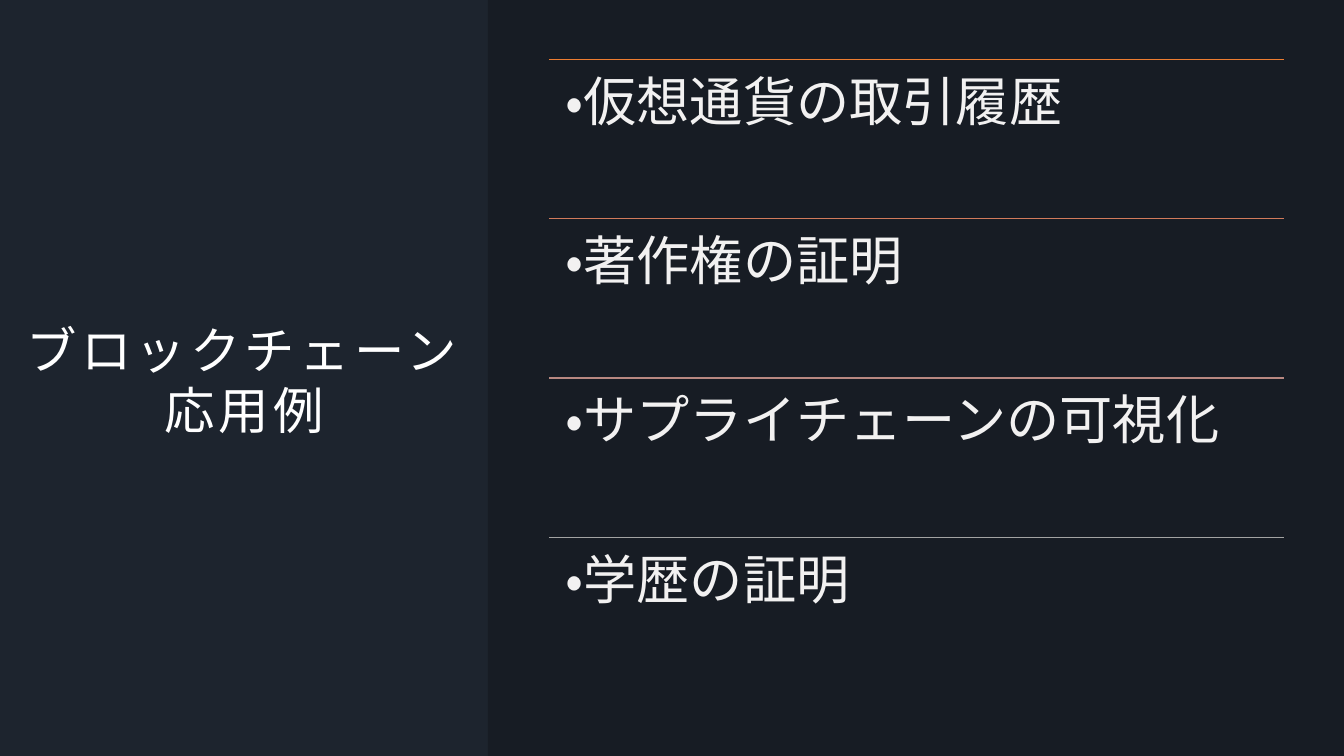
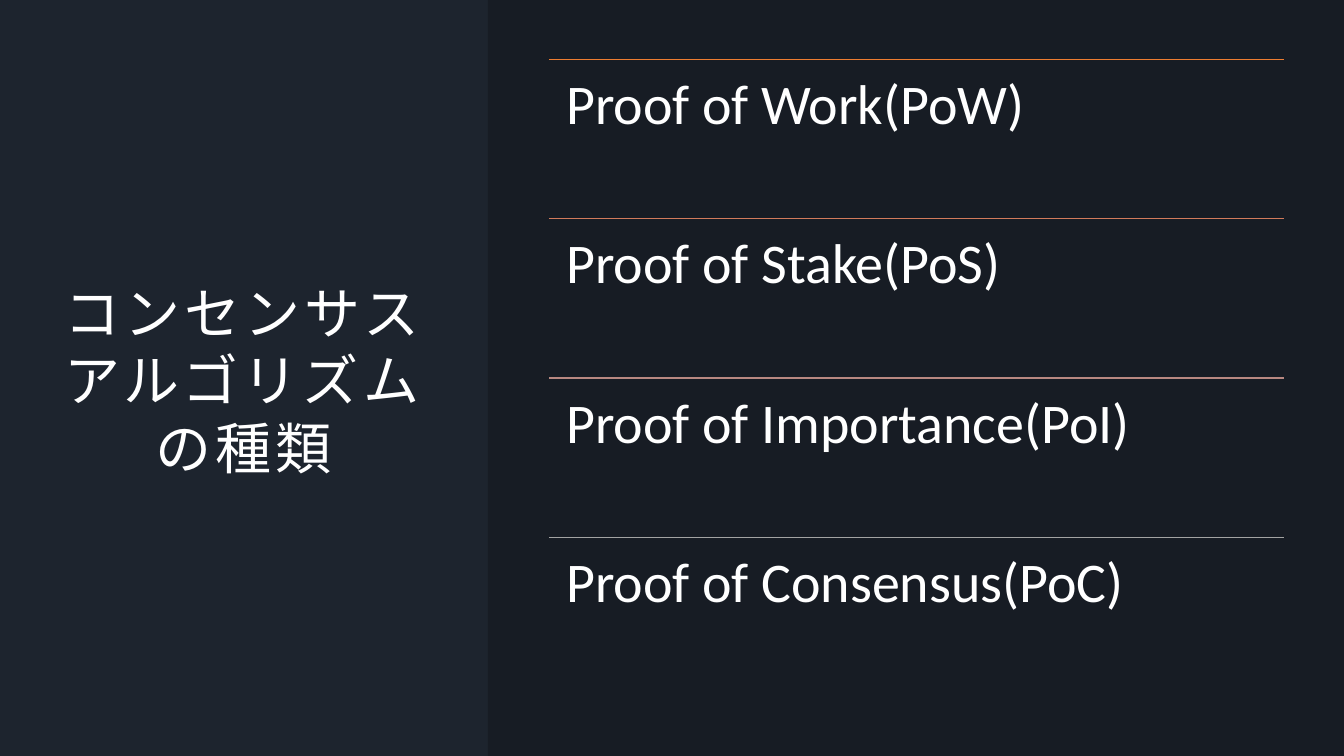
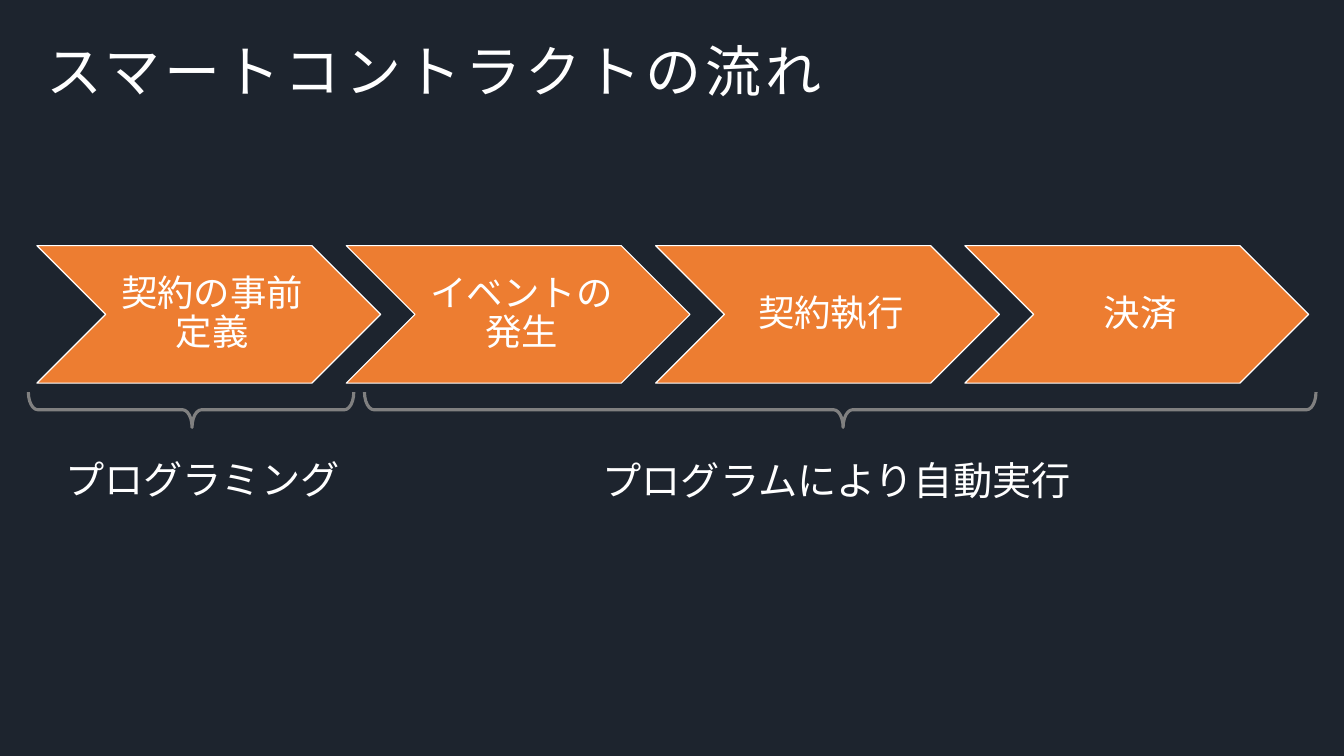
from lxml import etree
from pptx import Presentation
from pptx.dml.color import RGBColor
from pptx.enum.lang import MSO_LANGUAGE_ID
from pptx.enum.shapes import MSO_CONNECTOR, MSO_SHAPE
from pptx.enum.text import MSO_ANCHOR, MSO_AUTO_SIZE, PP_ALIGN
from pptx.oxml.ns import qn
from pptx.util import Pt

CENTER, LEFT = PP_ALIGN.CENTER, PP_ALIGN.LEFT
TOP, MIDDLE = MSO_ANCHOR.TOP, MSO_ANCHOR.MIDDLE
GROW = MSO_AUTO_SIZE.SHAPE_TO_FIT_TEXT
STRAIGHT = MSO_CONNECTOR.STRAIGHT
RECTANGLE, CHEVRON, BRACE = MSO_SHAPE.RECTANGLE, MSO_SHAPE.CHEVRON, MSO_SHAPE.RIGHT_BRACE
JAPANESE = MSO_LANGUAGE_ID.JAPANESE

COLORS = {
    "background": "1D242E", "panel": "000000", "white": "FFFFFF", "soft": "F2F1F1",
    "orange": "ED7D31", "copper": "D17A5B", "rose": "B88881", "silver": "A3A3A3",
    "brace": "808080",
}
FONT = "Calibri"
SLIDE_WIDTH, SLIDE_HEIGHT = 960, 540
PANEL_LEFT, PANEL_ALPHA = 348.5, 20

LIST_SLIDES = [
    {
        "title": "ブロックチェーン応用例",
        "title_box": (7.9, 85.7, 332.7, 369.4), "title_size": 36,
        "items": ["・仮想通貨の取引履歴", "・著作権の証明", "・サプライチェーンの可視化", "・学歴の証明"],
        "size": 38, "color": "soft", "inset": 11.4,
    },
    {
        "title": "コンセンサスアルゴリズムの種類",
        "title_box": (35.2, 85.7, 278, 369.4), "title_size": 40,
        "items": ["Proof of Work(PoW)", "Proof of Stake(PoS)", "Proof of Importance(PoI)",
                  "Proof of Consensus(PoC)"],
        "size": 40, "color": "white", "inset": 12,
    },
]
RULE_COLORS = ["orange", "copper", "rose", "silver"]
ROW_LEFT, ROW_TOP, ROW_WIDTH, ROW_HEIGHT = 392.4, 42.5, 524.9, 113.75

FLOW_TITLE = "スマートコントラクトの流れ"
FLOW_TITLE_BOX = (24.5, 17.3, 909.4, 51.8)
STEPS = ["契約の事前定義", "イベントの発生", "契約執行", "決済"]
STEP_LEFT, STEP_TOP, STEP_WIDTH, STEP_HEIGHT = 26.4, 175.5, 245.5, 98.2
STEP_PITCH = STEP_WIDTH * 0.9
PHASES = [
    {"text": "プログラミング", "span": (20.2, 252.7), "label": (39.6, 322, 212.4, 41)},
    {"text": "プログラムにより自動実行", "span": (260.3, 940), "label": (423.4, 322.5, 353.5, 41)},
]
BRACE_MIDDLE, BRACE_DEPTH = 292.7, 25.2
BRACE_CURVE = (0.268, 0.497)

TITLE_FORMAT = {"insets": (8.6, 8.6, 8.6, 7.2), "spacing": 3}


def rgb(name):
    return RGBColor.from_string(COLORS[name])


def points(values):
    return [Pt(value) for value in values]


def set_text(shape, text, size, color="white", align=LEFT, anchor=TOP,
             insets=(7.2, 3.6, 7.2, 3.6), line_spacing=1.0, spacing=0, wrap=True):
    frame = shape.text_frame
    frame.word_wrap = wrap
    frame.vertical_anchor = anchor
    for side, inset in zip(("left", "top", "right", "bottom"), insets):
        setattr(frame, f"margin_{side}", Pt(inset))
    paragraph = frame.paragraphs[0]
    paragraph.alignment = align
    paragraph.line_spacing = line_spacing
    run = paragraph.add_run()
    run.text = text
    for name, value in {"name": FONT, "size": Pt(size), "language_id": JAPANESE}.items():
        setattr(run.font, name, value)
    run.font.color.rgb = rgb(color)
    if spacing:
        run._r.get_or_add_rPr().set("spc", str(spacing * 100))


def add_text(slide, box, text, size, **text_format):
    shape = slide.shapes.add_textbox(*points(box))
    set_text(shape, text, size, **text_format)
    return shape


def add_shape(slide, kind, box, fill=None, line=None, line_width=0):
    shape = slide.shapes.add_shape(kind, *points(box))
    shape.shadow.inherit = False
    if fill:
        shape.fill.solid()
        shape.fill.fore_color.rgb = rgb(fill)
    else:
        shape.fill.background()
    if line:
        shape.line.color.rgb = rgb(line)
        shape.line.width = Pt(line_width)
    else:
        shape.line.fill.background()
    return shape


def add_panel(slide):
    panel = add_shape(slide, RECTANGLE,
                      (PANEL_LEFT, 0, SLIDE_WIDTH - PANEL_LEFT, SLIDE_HEIGHT), "panel")
    color = panel._element.spPr.find(qn("a:solidFill"))[0]
    etree.SubElement(color, qn("a:alpha")).set("val", str(PANEL_ALPHA * 1000))


def add_rule(slide, top, color):
    rule = slide.shapes.add_connector(
        STRAIGHT, *points((ROW_LEFT, top, ROW_LEFT + ROW_WIDTH, top)))
    rule.line.color.rgb = rgb(color)
    rule.line.width = Pt(0.75)
    etree.SubElement(rule._element.spPr, qn("a:effectLst"))


def build_list(slide, content):
    add_text(slide, content["title_box"], content["title"], content["title_size"],
             align=CENTER, anchor=MIDDLE, **TITLE_FORMAT)
    add_panel(slide)
    for index, (item, rule_color) in enumerate(zip(content["items"], RULE_COLORS)):
        top = ROW_TOP + index * ROW_HEIGHT
        add_rule(slide, top, rule_color)
        add_text(slide, (ROW_LEFT, top, ROW_WIDTH, ROW_HEIGHT), item, content["size"],
                 color=content["color"], insets=(content["inset"],) * 4, line_spacing=0.9)


def add_brace(slide, start, end):
    length = end - start
    box = ((start + end - BRACE_DEPTH) / 2, BRACE_MIDDLE - length / 2, BRACE_DEPTH, length)
    brace = add_shape(slide, BRACE, box, line="brace", line_width=2.25)
    brace.rotation = 90
    for index, value in enumerate(BRACE_CURVE):
        brace.adjustments[index] = value


def build_flow(slide):
    add_text(slide, FLOW_TITLE_BOX, FLOW_TITLE, 40, **TITLE_FORMAT)
    for index, step in enumerate(STEPS):
        box = (STEP_LEFT + index * STEP_PITCH, STEP_TOP, STEP_WIDTH, STEP_HEIGHT)
        chevron = add_shape(slide, CHEVRON, box, "orange", "white", 0.85)
        set_text(chevron, step, 26, align=CENTER, anchor=MIDDLE,
                 insets=(8, 3, 3, 3), line_spacing=0.9)
    for phase in PHASES:
        add_brace(slide, *phase["span"])
        label = add_text(slide, phase["label"], phase["text"], 28, wrap=False)
        label.text_frame.auto_size = GROW


def main():
    presentation = Presentation()
    presentation.slide_width, presentation.slide_height = Pt(SLIDE_WIDTH), Pt(SLIDE_HEIGHT)
    background = presentation.slide_master.background.fill
    background.solid()
    background.fore_color.rgb = rgb("background")
    blank = presentation.slide_layouts[6]
    for content in LIST_SLIDES:
        build_list(presentation.slides.add_slide(blank), content)
    build_flow(presentation.slides.add_slide(blank))
    presentation.save("out.pptx")


if __name__ == "__main__":
    main()
